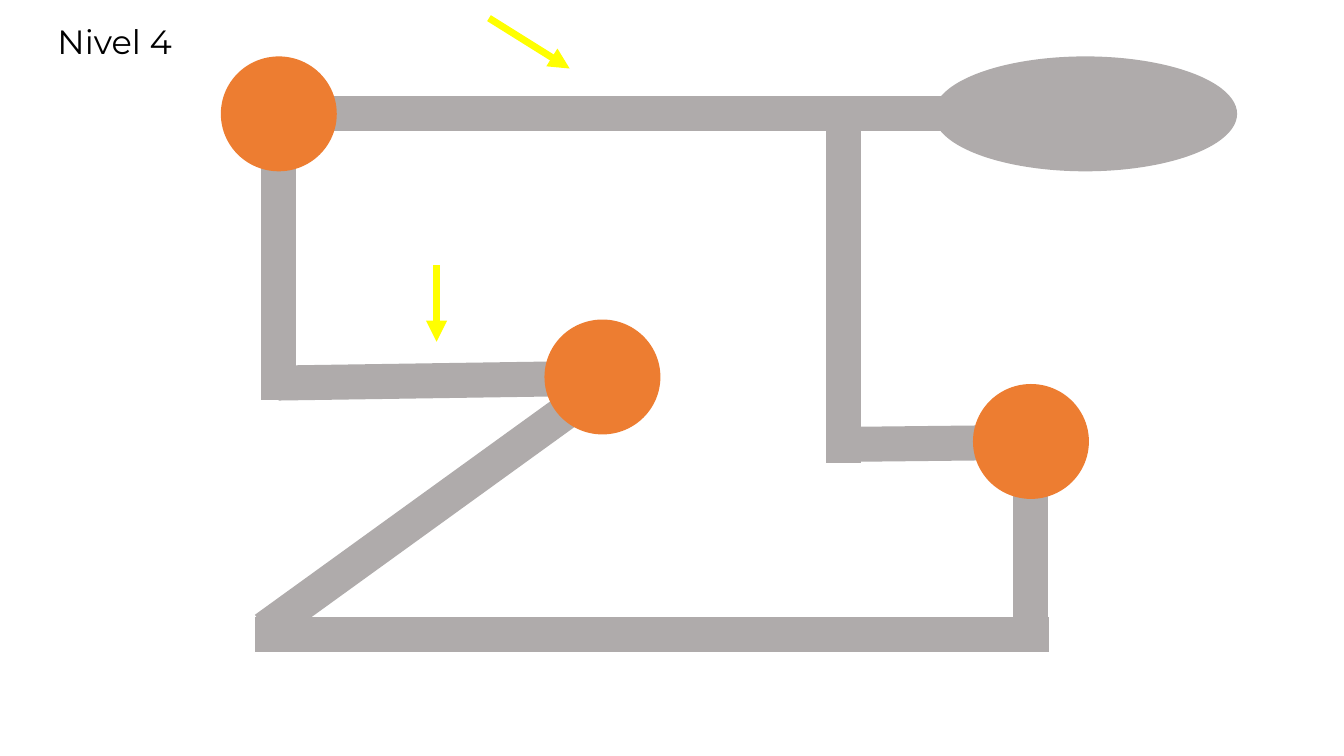
from lxml.etree import SubElement
from pptx import Presentation
from pptx.dml.color import RGBColor
from pptx.enum.shapes import MSO_CONNECTOR as Connector, MSO_SHAPE as Shape
from pptx.enum.text import MSO_ANCHOR as Anchor, MSO_AUTO_SIZE as AutoSize, PP_ALIGN as Align
from pptx.oxml.ns import qn
from pptx.util import Inches, Pt

WHITE = RGBColor(0xFF, 0xFF, 0xFF)
BLACK = RGBColor(0x00, 0x00, 0x00)
GREY = RGBColor(0xAF, 0xAB, 0xAB)
ORANGE = RGBColor(0xED, 0x7D, 0x31)
YELLOW = RGBColor(0xFF, 0xFF, 0x00)

BAR_WIDTH = 25
ARROW_WIDTH = 5
JOINT_SIZE = (1.15, 1.14)

BARS = [
    ((3.06, 1.13), (10.13, 1.13)),
    ((8.37, 0.99), (8.37, 4.59)),
    ((8.28, 4.41), (10.13, 4.39)),
    ((10.22, 4.75), (10.22, 6.29)),
    ((2.53, 6.29), (10.4, 6.29)),
    ((2.76, 0.99), (2.76, 3.97)),
    ((2.76, 3.8), (6.13, 3.75)),
    ((2.63, 6.24), (6.13, 3.71)),
]
JOINTS = [(9.65, 3.81), (2.19, 0.56), (5.4, 3.17)]
ARROWS = [((4.85, 0.18), (5.65, 0.68)), ((4.33, 2.63), (4.33, 3.39))]


def add_title(slide, text):
    title = slide.shapes.title
    title.left, title.top = Inches(0.47), Inches(0.16)
    title.width, title.height = Inches(1.56), Inches(0.5)
    frame = title.text_frame
    frame.word_wrap = True
    frame.auto_size = AutoSize.SHAPE_TO_FIT_TEXT
    frame.vertical_anchor = Anchor.TOP
    paragraph = frame.paragraphs[0]
    paragraph.alignment = Align.LEFT
    run = paragraph.add_run()
    run.text = text
    run.font.name = "Montserrat"
    run.font.size = Pt(24)
    run.font.color.rgb = BLACK


def add_ellipse(slide, position, size, color):
    ellipse = slide.shapes.add_shape(Shape.OVAL, *map(Inches, position + size))
    ellipse.shadow.inherit = False
    ellipse.fill.solid()
    ellipse.fill.fore_color.rgb = color
    ellipse.line.fill.background()


def add_line(slide, start, end, color, width):
    connector = slide.shapes.add_connector(Connector.STRAIGHT, *map(Inches, start + end))
    connector.line.color.rgb = color
    connector.line.width = Pt(width)
    SubElement(connector._element.spPr, qn("a:effectLst"))
    return connector


def add_arrow(slide, start, end):
    arrow = add_line(slide, start, end, YELLOW, ARROW_WIDTH)
    SubElement(arrow.line._get_or_add_ln(), qn("a:tailEnd"), type="triangle")


def main():
    presentation = Presentation()
    presentation.slide_width = Inches(13.33)
    presentation.slide_height = Inches(7.5)
    slide = presentation.slides.add_slide(presentation.slide_layouts[5])
    slide.background.fill.solid()
    slide.background.fill.fore_color.rgb = WHITE

    add_title(slide, "Nivel 4")
    add_ellipse(slide, (9.26, 0.56), (3.01, 1.14), GREY)
    for start, end in BARS:
        add_line(slide, start, end, GREY, BAR_WIDTH)
    for position in JOINTS:
        add_ellipse(slide, position, JOINT_SIZE, ORANGE)
    for start, end in ARROWS:
        add_arrow(slide, start, end)

    presentation.save("out.pptx")


if __name__ == "__main__":
    main()
